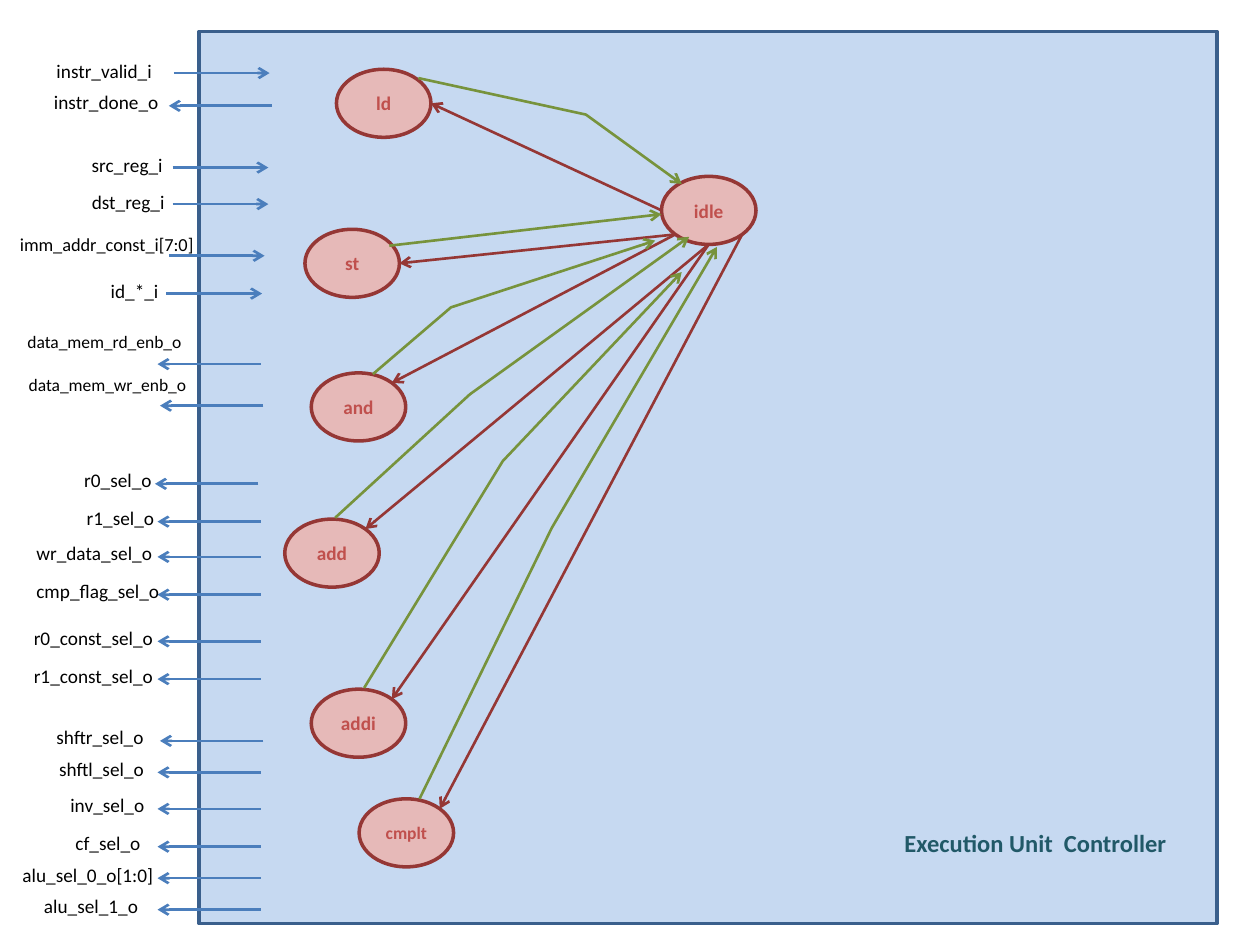
from dataclasses import dataclass
from math import cos, radians, sin

from pptx import Presentation
from pptx.dml.color import RGBColor
from pptx.enum.shapes import MSO_CONNECTOR, MSO_SHAPE
from pptx.enum.text import MSO_ANCHOR, MSO_AUTO_SIZE, PP_ALIGN
from pptx.oxml.ns import qn
from pptx.util import Pt
from lxml.etree import SubElement

EMU_PER_PX = 9144  # 100 px to the inch


@dataclass(frozen=True)
class Theme:
    font: str = "Calibri"
    ink: str = "000000"
    panel: str = "C6D9F1"
    panel_line: str = "3A5F8C"
    signal: str = "4B7EBC"
    state: str = "E6B9B8"
    state_line: str = "953735"
    state_text: str = "C0504D"
    back: str = "77933C"
    title: str = "215968"
    title_size: float = 14
    body: float = 11
    compact: float = 10.5
    small: float = 10
    outline: float = 2
    arrow: float = 1.5


THEME = Theme()


def px(n):
    return round(n * EMU_PER_PX)


def write(tf, text, size=THEME.body, color=THEME.ink, bold=False, align=None):
    tf.word_wrap = False
    p = tf.paragraphs[0]
    p.alignment = align
    r = p.add_run()
    r.text = text
    r.font.name = THEME.font
    r.font.size = Pt(size)
    r.font.bold = bold
    r.font.color.rgb = RGBColor.from_string(color)


class Canvas:
    def __init__(self, slide, theme):
        self.s = slide
        self.theme = theme

    def stroke(self, line, color, width):
        line.color.rgb = RGBColor.from_string(color)
        line.width = Pt(width)

    def arrowhead(self, line):
        SubElement(line._get_or_add_ln(), qn("a:tailEnd"), type="arrow")

    def shape(self, kind, box, fill, line):
        sp = self.s.shapes.add_shape(kind, *map(px, box))
        sp.shadow.inherit = False
        sp.fill.solid()
        sp.fill.fore_color.rgb = RGBColor.from_string(fill)
        self.stroke(sp.line, line, self.theme.outline)
        return sp

    def state(self, name, box, size):
        t = self.theme
        sp = self.shape(MSO_SHAPE.OVAL, box, t.state, t.state_line)
        sp.text_frame.vertical_anchor = MSO_ANCHOR.MIDDLE
        write(sp.text_frame, name, size=size, color=t.state_text, bold=True,
              align=PP_ALIGN.CENTER)

    def label(self, text, box, **fmt):
        tf = self.s.shapes.add_textbox(*map(px, box)).text_frame
        write(tf, text, **fmt)
        tf.auto_size = MSO_AUTO_SIZE.SHAPE_TO_FIT_TEXT

    def arrow(self, start, end, color):
        c = self.s.shapes.add_connector(
            MSO_CONNECTOR.STRAIGHT, *map(px, (*start, *end)))
        self.stroke(c.line, color, self.theme.arrow)
        self.arrowhead(c.line)
        SubElement(c._element.spPr, qn("a:effectLst"))

    def path_arrow(self, points, color):
        first, *rest = [(px(x), px(y)) for x, y in points]
        fb = self.s.shapes.build_freeform(*first)
        fb.add_line_segments(rest, close=False)
        sp = fb.convert_to_shape()
        sp.shadow.inherit = False
        sp.fill.background()
        self.stroke(sp.line, color, self.theme.arrow)
        self.arrowhead(sp.line)


STATE_W, STATE_H = 75, 54
IDLE = (525, 140)
RIGHT, BOTTOM_RIGHT, BOTTOM, BOTTOM_LEFT, LEFT, TOP_RIGHT = 0, 45, 90, 135, 180, 315


def on_rim(corner, angle):
    """Point on a state's ellipse, angle in degrees clockwise from the right."""
    x, y = corner
    a = radians(angle)
    return x + STATE_W / 2 * (1 + cos(a)), y + STATE_H / 2 * (1 + sin(a))


# name, corner, text size, side left on idle, side reached, path back to idle
STATES = [
    ("ld", (267, 55), THEME.body, LEFT, RIGHT, [(332, 62), (465, 91), (541, 146)]),
    ("st", (242, 182), THEME.body, BOTTOM_LEFT, RIGHT, [(309, 195), (525, 170)]),
    ("and", (247, 296), THEME.body, BOTTOM_LEFT, TOP_RIGHT,
     [(296, 297), (358, 244), (520, 191)]),
    ("add", (226, 412), THEME.body, BOTTOM, TOP_RIGHT,
     [(266, 411), (373, 313), (547, 188)]),
    ("addi", (247, 547), THEME.body, BOTTOM, TOP_RIGHT,
     [(289, 546), (399, 366), (541, 216)]),
    ("cmplt", (285, 634), THEME.small, BOTTOM_RIGHT, TOP_RIGHT,
     [(333, 634), (438, 419), (569, 196)]),
]

# name, label left, label top, label width, arrow left, arrow y, text size
INPUTS = [
    ("instr_valid_i", 35, 42, 97, 138, 58, THEME.body),
    ("src_reg_i", 63, 117, 77, 137, 133, THEME.body),
    ("dst_reg_i", 63, 146, 79, 137, 162, THEME.body),
    ("imm_addr_const_i[7:0]", 6, 180, 160, 134, 203, THEME.compact),
    ("id_*_i", 78, 217, 58, 132, 233, THEME.body),
]
OUTPUTS = [
    ("instr_done_o", 33, 67, 104, 134, 84, THEME.body),
    ("data_mem_rd_enb_o", 12, 258, 144, 125, 289, THEME.small),
    ("data_mem_wr_enb_o", 13, 292, 147, 127, 322, THEME.small),
    ("r0_sel_o", 57, 367, 74, 123, 384, THEME.body),
    ("r1_sel_o", 59, 397, 74, 125, 414, THEME.body),
    ("wr_data_sel_o", 19, 425, 113, 125, 442, THEME.body),
    ("cmp_flag_sel_o", 19, 455, 118, 125, 472, THEME.body),
    ("r0_const_sel_o", 17, 492, 116, 125, 509, THEME.body),
    ("r1_const_sel_o", 17, 522, 116, 125, 539, THEME.body),
    ("shftr_sel_o", 35, 571, 90, 127, 588, THEME.body),
    ("shftl_sel_o", 37, 596, 88, 125, 613, THEME.body),
    ("inv_sel_o", 46, 625, 79, 125, 642, THEME.body),
    ("cf_sel_o", 50, 655, 72, 125, 672, THEME.body),
    ("alu_sel_0_o[1:0]", 8, 680, 125, 125, 697, THEME.body),
    ("alu_sel_1_o", 25, 705, 95, 125, 722, THEME.body),
]
INPUT_LENGTH, OUTPUT_LENGTH = 76, 82


def draw_signals(canvas, signals, length, inward):
    for name, x, top, width, left, y, size in signals:
        ends = [(left, y), (left + length, y)]
        canvas.arrow(*(ends if inward else ends[::-1]), THEME.signal)
        canvas.label(name, (x, top, width, 10 + round(size * 1.7)), size=size)


def main():
    prs = Presentation()
    prs.slide_width, prs.slide_height = px(1000), px(750)
    canvas = Canvas(prs.slides.add_slide(prs.slide_layouts[6]), THEME)

    canvas.shape(MSO_SHAPE.RECTANGLE, (158, 25, 808, 708),
                 THEME.panel, THEME.panel_line)
    draw_signals(canvas, INPUTS, INPUT_LENGTH, inward=True)
    draw_signals(canvas, OUTPUTS, OUTPUT_LENGTH, inward=False)

    canvas.state("idle", (*IDLE, STATE_W, STATE_H), THEME.body)
    for name, corner, size, leave, reach, _ in STATES:
        canvas.state(name, (*corner, STATE_W, STATE_H), size)
        canvas.arrow(on_rim(IDLE, leave), on_rim(corner, reach), THEME.state_line)
    for *_, points in STATES:
        canvas.path_arrow(points, THEME.back)

    canvas.label("Execution Unit  Controller", (708, 652, 230, 34),
                 size=THEME.title_size, color=THEME.title, bold=True)
    prs.save("out.pptx")


if __name__ == "__main__":
    main()
